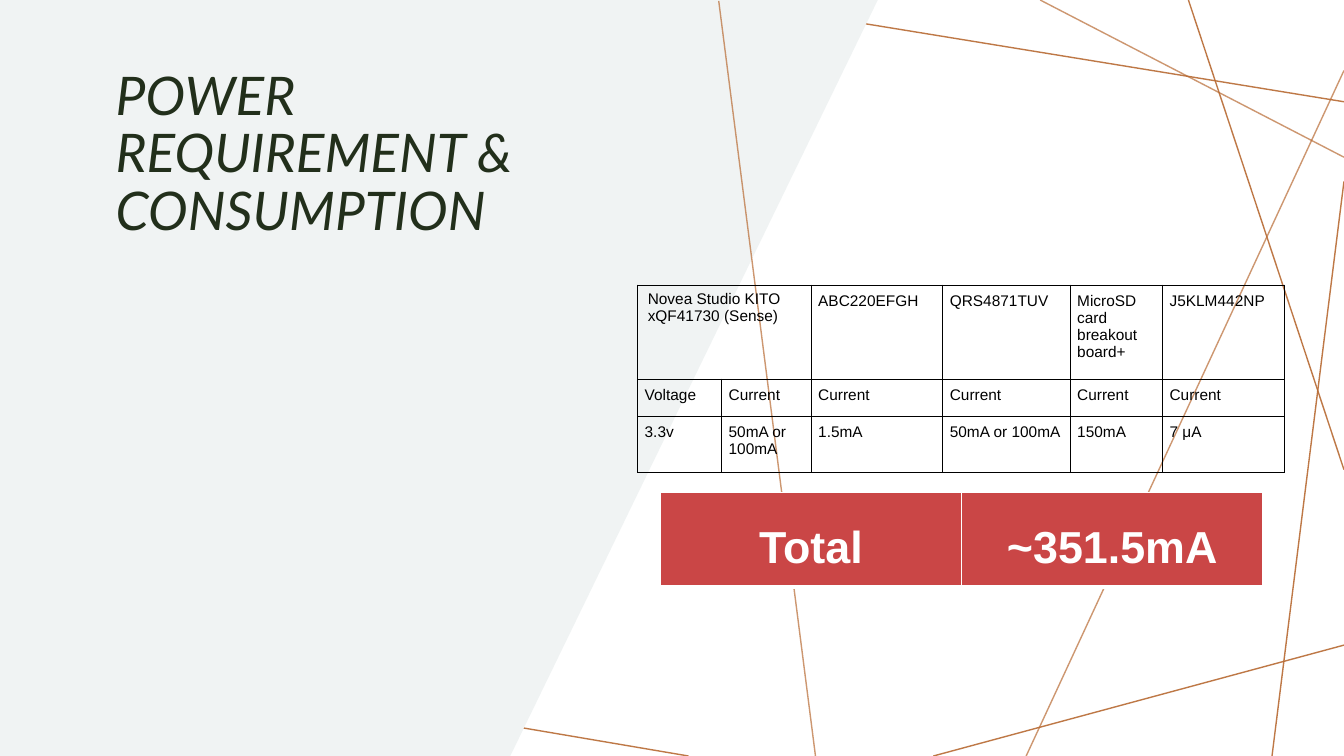
from lxml.etree import SubElement
from pptx import Presentation
from pptx.dml.color import RGBColor
from pptx.enum.shapes import MSO_CONNECTOR
from pptx.enum.text import PP_ALIGN
from pptx.oxml.ns import qn
from pptx.util import Pt


def color(value):
    return RGBColor.from_string(value)


def style_cell(cell, text, size, text_color, margins, border_color, bottom_width):
    cell.text = text
    cell.margin_left = cell.margin_right = Pt(margins[0])
    cell.margin_top = cell.margin_bottom = Pt(margins[1])
    font = cell.text_frame.paragraphs[0].font
    font.name, font.size, font.bold = "Arial", Pt(size), False
    font.color.rgb = color(text_color)
    properties = cell._tc.get_or_add_tcPr()
    for side, width in (("L", 1), ("R", 1), ("T", 1), ("B", bottom_width)):
        border = SubElement(properties, qn(f"a:ln{side}"), w=str(Pt(width)))
        fill = SubElement(border, qn("a:solidFill"))
        SubElement(fill, qn("a:srgbClr"), val=border_color)


presentation = Presentation()
presentation.slide_width, presentation.slide_height = Pt(960), Pt(540)
slide = presentation.slides.add_slide(presentation.slide_layouts[6])
shapes = slide.shapes

back_lines = [
    (491.8, 540, 0, 456.5),
    (960, 460.8, 666.7, 540),
    (960, 129.6, 908.6, 540),
    (960, 335.5, 848.9, 0),
    (960, 72.7, 514, 0),
]
front_lines = [
    (582.5, 540, 513.4, 0.7),
    (733, 540, 960, 50.4),
    (743, 0, 960, 112.3),
]
for lines, opacity in ((back_lines, 91), (front_lines, 70)):
    for ends in lines:
        line = shapes.add_connector(MSO_CONNECTOR.STRAIGHT, *map(Pt, ends))
        line.line.width = Pt(1)
        line.line.color.rgb = color("B86B34")
        line_color = line._element.spPr.find(".//" + qn("a:srgbClr"))
        SubElement(line_color, qn("a:alpha"), val=str(opacity * 1000))
        SubElement(line._element.spPr, qn("a:effectLst"))
    if lines is back_lines:
        builder = shapes.build_freeform(0, 0)
        builder.add_line_segments(
            [(Pt(627), 0), (Pt(364.5), Pt(540)), (0, Pt(540))], close=True
        )
        panel = builder.convert_to_shape()
        panel.shadow.inherit = False
        panel.fill.solid()
        panel.fill.fore_color.rgb = color("F0F3F3")
        panel.line.fill.background()

title = shapes.add_textbox(Pt(75.6), Pt(42.5), Pt(376), Pt(301))
title.text_frame.word_wrap = True
title.text_frame.margin_top = Pt(7)
paragraph = title.text_frame.paragraphs[0]
paragraph.text = "POWER REQUIREMENT & CONSUMPTION"
paragraph.line_spacing = 0.9
paragraph.font.name, paragraph.font.size = "Lato", Pt(38)
paragraph.font.italic = True
paragraph.font.color.rgb = color("222F1B")

component_rows = [
    ["Novea Studio KITO xQF41730 (Sense)", "", "ABC220EFGH", "QRS4871TUV",
     "MicroSD card breakout board+", "J5KLM442NP"],
    ["Voltage"] + ["Current"] * 5,
    ["3.3v", "50mA or 100mA", "1.5mA", "50mA or 100mA", "150mA", "7 μA"],
]
column_widths = [60, 64, 94, 91, 66, 87]
row_heights = [67, 26.5, 40]
components = shapes.add_table(
    3, 6, Pt(455.5), Pt(203.8), Pt(sum(column_widths)), Pt(sum(row_heights))
).table
components.first_row = components.horz_banding = False
for column, width in zip(components.columns, column_widths):
    column.width = Pt(width)
for row, height, texts in zip(components.rows, row_heights, component_rows):
    row.height = Pt(height)
    for cell, text in zip(row.cells, texts):
        style_cell(cell, text, 11, "000000", (5, 5), "000000", 1)
        cell.fill.background()
board = components.cell(0, 0)
board.merge(components.cell(0, 1))
board.margin_left = board.margin_right = Pt(7.2)
board.margin_top = board.margin_bottom = Pt(3.6)

total = shapes.add_table(1, 2, Pt(471.6), Pt(352), Pt(430.6), Pt(67.5)).table
total.first_row = total.horz_banding = False
for cell, text in zip(total.rows[0].cells, ["Total", "~351.5mA"]):
    style_cell(cell, text, 32, "FFFFFF", (7.2, 3.6), "FFFFFF", 3)
    cell.fill.solid()
    cell.fill.fore_color.rgb = color("CA4646")
    paragraph = cell.text_frame.paragraphs[0]
    paragraph.alignment = PP_ALIGN.CENTER
    paragraph.line_spacing = 1.5
    paragraph.font.bold = True

presentation.save("out.pptx")
